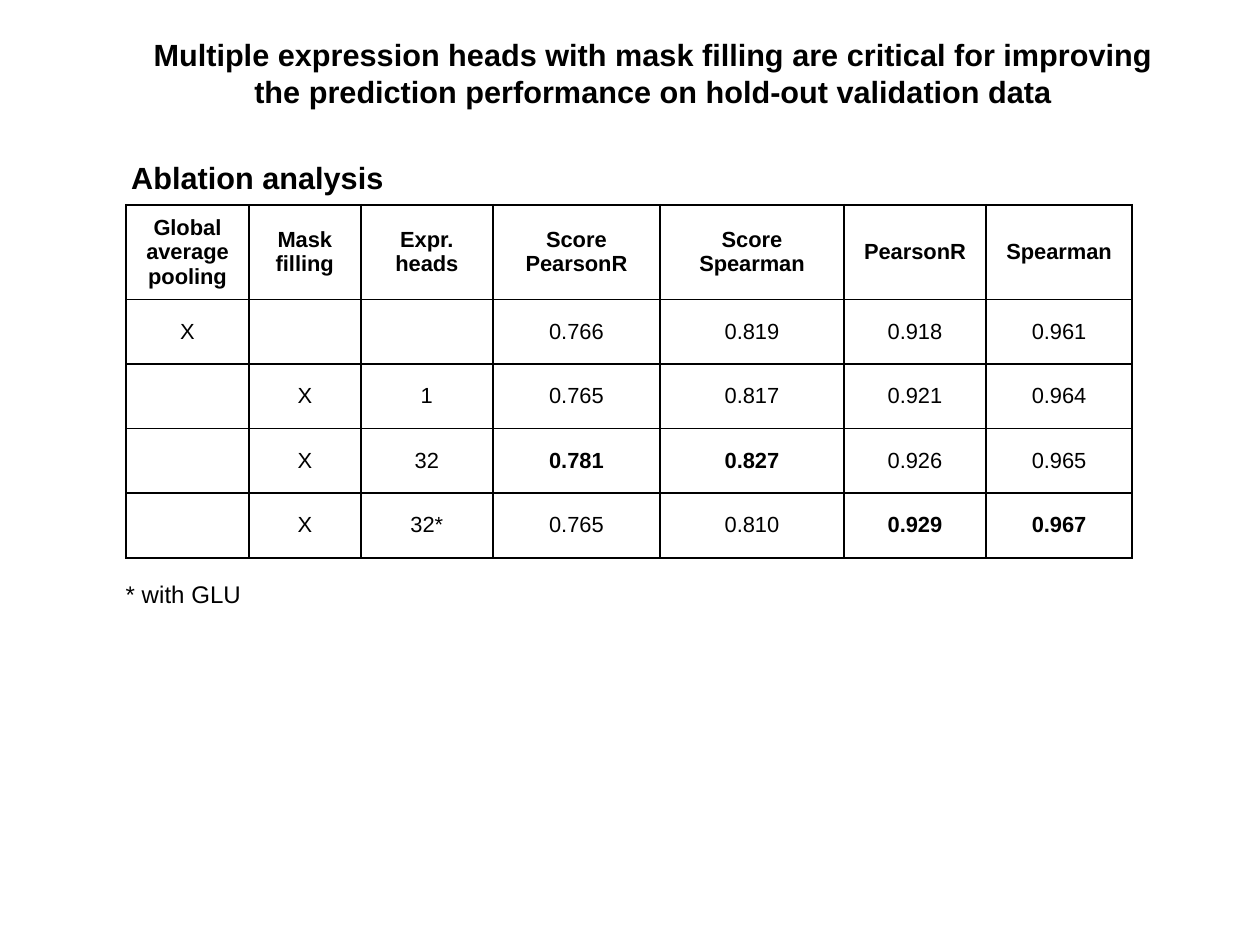
from dataclasses import dataclass

from lxml import etree
from pptx import Presentation
from pptx.dml.color import RGBColor
from pptx.enum.text import MSO_ANCHOR, MSO_AUTO_SIZE, PP_ALIGN
from pptx.oxml.ns import qn
from pptx.slide import Slide
from pptx.table import _Cell
from pptx.text.text import TextFrame
from pptx.util import Emu, Pt

CENTER, LEFT = PP_ALIGN.CENTER, PP_ALIGN.LEFT
TOP, MIDDLE = MSO_ANCHOR.TOP, MSO_ANCHOR.MIDDLE
FIT_SHAPE = MSO_AUTO_SIZE.SHAPE_TO_FIT_TEXT
TITLE_ONLY = 5
EMU_PER_PX = 9144  # 100 px to the inch


@dataclass(frozen=True)
class Theme:
    font: str = "Arial"
    ink: str = "000000"
    heading_size: int = 14
    note_size: int = 11
    table_size: int = 10
    border_width: int = 1


@dataclass(frozen=True)
class Box:
    left: int
    top: int
    width: int
    height: int

    def emu(self) -> tuple[Emu, Emu, Emu, Emu]:
        return px(self.left), px(self.top), px(self.width), px(self.height)


@dataclass(frozen=True)
class Column:
    header: str
    width: int
    values: tuple[str, str, str, str]
    best_row: int | None = None


@dataclass(frozen=True)
class Label:
    text: str
    box: Box
    size: int
    bold: bool
    align: PP_ALIGN


THEME = Theme()

TITLE = Label(
    "Multiple expression heads with mask filling are critical for improving "
    "the prediction performance on hold-out validation data",
    Box(87, 18, 656, 57), THEME.heading_size, True, CENTER,
)
LABELS = (
    Label("Ablation analysis", Box(66, 96, 195, 34), THEME.heading_size, True, CENTER),
    Label("* with GLU", Box(70, 363, 233, 29), THEME.note_size, False, LEFT),
)

# Ablation results, column by column; best_row marks the bold value
COLUMNS = (
    Column("Global average pooling", 78, ("X", "", "", "")),
    Column("Mask filling", 71, ("", "X", "X", "X")),
    Column("Expr. heads", 84, ("", "1", "32", "32*")),
    Column("Score PearsonR", 106, ("0.766", "0.765", "0.781", "0.765"), 3),
    Column("Score Spearman", 117, ("0.819", "0.817", "0.827", "0.810"), 3),
    Column("PearsonR", 90, ("0.918", "0.921", "0.926", "0.929"), 4),
    Column("Spearman", 93, ("0.961", "0.964", "0.965", "0.967"), 4),
)
TABLE_LEFT, TABLE_TOP = 80, 130
ROW_HEIGHTS = (60, 41, 41, 41, 41)


def px(length: int) -> Emu:
    return Emu(length * EMU_PER_PX)


def write_text(frame: TextFrame, text: str, *, size: int, bold: bool = False,
               align: PP_ALIGN = CENTER) -> None:
    paragraph = frame.paragraphs[0]
    paragraph.alignment = align
    run = paragraph.add_run()
    run.text = text
    run.font.name = THEME.font
    run.font.size = Pt(size)
    run.font.bold = bold
    run.font.color.rgb = RGBColor.from_string(THEME.ink)


def fill_label(shape, label: Label) -> None:
    shape.left, shape.top, shape.width, shape.height = label.box.emu()
    frame = shape.text_frame
    frame.word_wrap = True
    frame.auto_size = FIT_SHAPE
    frame.vertical_anchor = TOP
    write_text(frame, label.text, size=label.size, bold=label.bold, align=label.align)


def draw_borders(cell: _Cell) -> None:
    properties = cell._tc.get_or_add_tcPr()
    for side in ("a:lnL", "a:lnR", "a:lnT", "a:lnB"):
        line = etree.SubElement(properties, qn(side), w=str(Pt(THEME.border_width)))
        fill = etree.SubElement(line, qn("a:solidFill"))
        etree.SubElement(fill, qn("a:srgbClr"), val=THEME.ink)


def add_ablation_table(slide: Slide) -> None:
    box = Box(TABLE_LEFT, TABLE_TOP, sum(column.width for column in COLUMNS), sum(ROW_HEIGHTS))
    table = slide.shapes.add_table(len(ROW_HEIGHTS), len(COLUMNS), *box.emu()).table
    table.first_row = table.horz_banding = False
    for row, height in zip(table.rows, ROW_HEIGHTS):
        row.height = px(height)
    for column_index, column in enumerate(COLUMNS):
        table.columns[column_index].width = px(column.width)
        for row_index, text in enumerate((column.header, *column.values)):
            cell = table.cell(row_index, column_index)
            draw_borders(cell)
            cell.fill.background()
            cell.vertical_anchor = MIDDLE
            if text:
                write_text(cell.text_frame, text, size=THEME.table_size,
                           bold=row_index in (0, column.best_row))


def main() -> None:
    presentation = Presentation()
    presentation.slide_width, presentation.slide_height = px(800), px(600)
    slide = presentation.slides.add_slide(presentation.slide_layouts[TITLE_ONLY])

    # Title, table, then heading and footnote
    fill_label(slide.shapes.title, TITLE)
    add_ablation_table(slide)
    for label in LABELS:
        fill_label(slide.shapes.add_textbox(*label.box.emu()), label)

    presentation.save("out.pptx")


if __name__ == "__main__":
    main()
